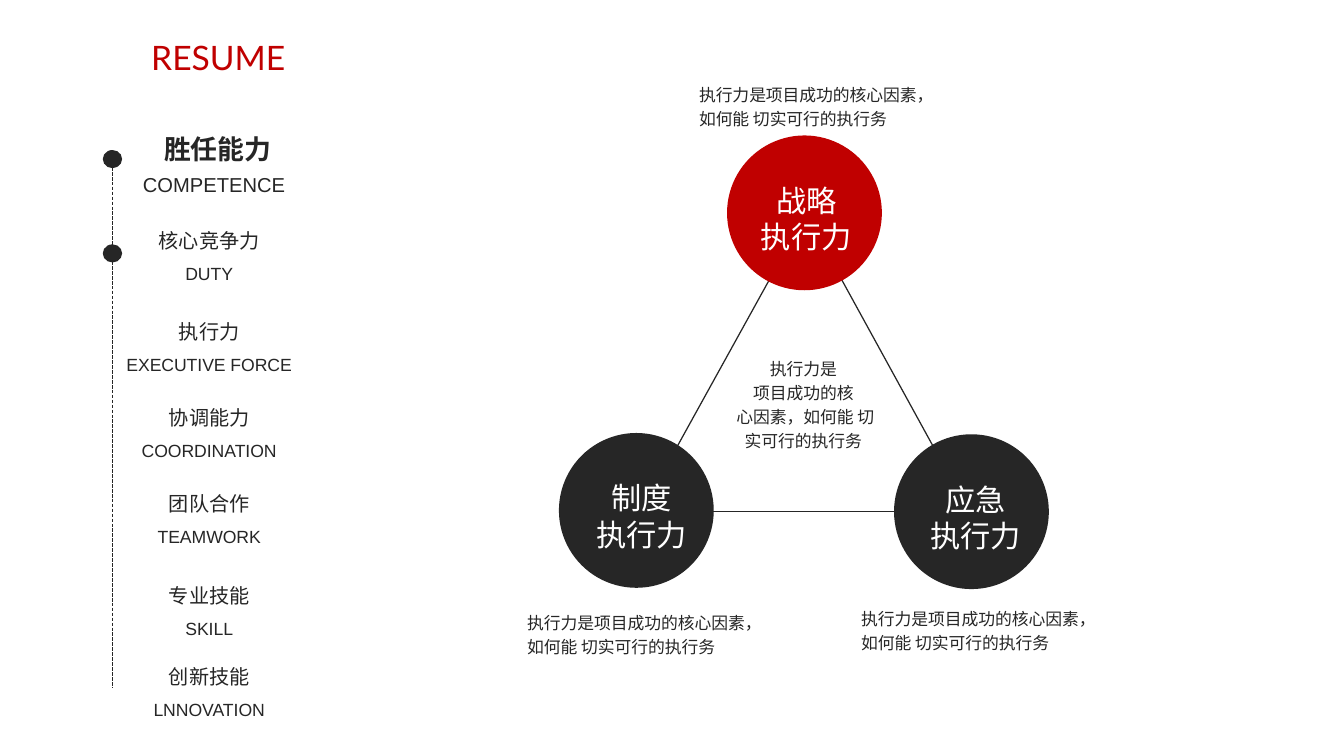
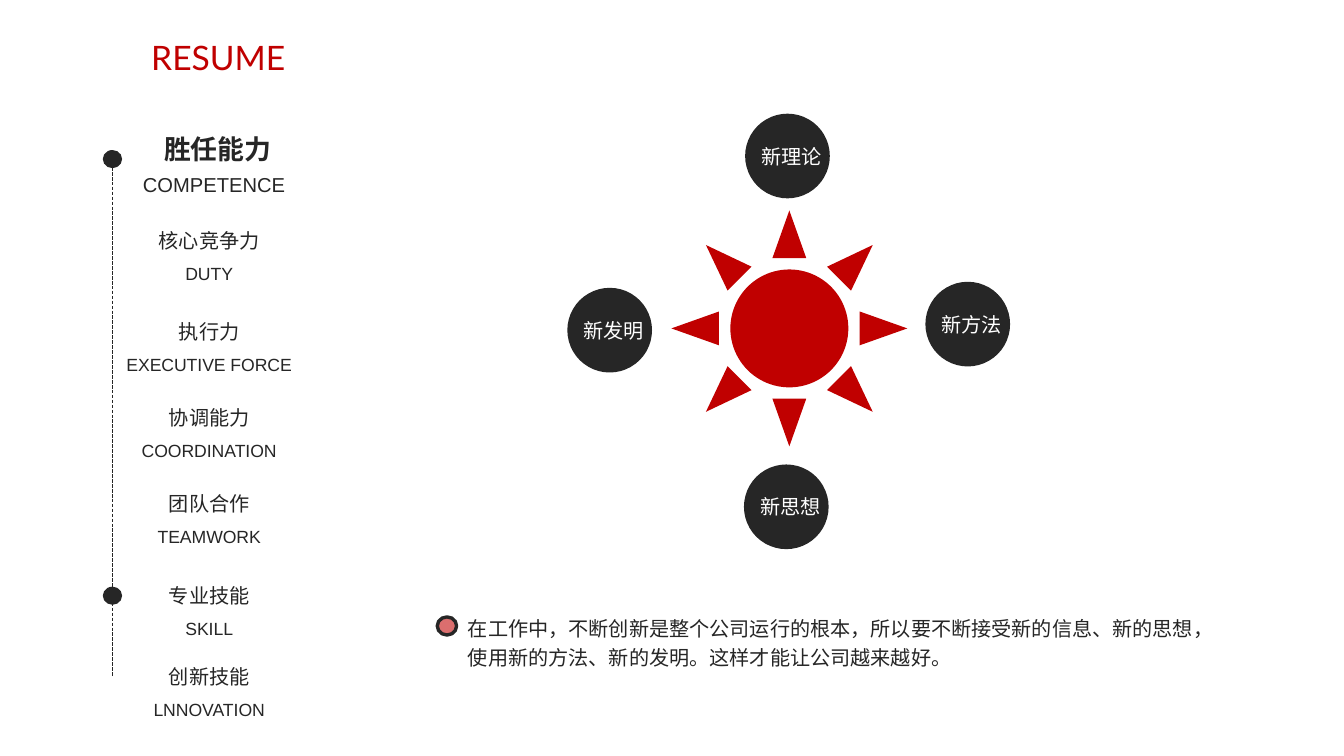
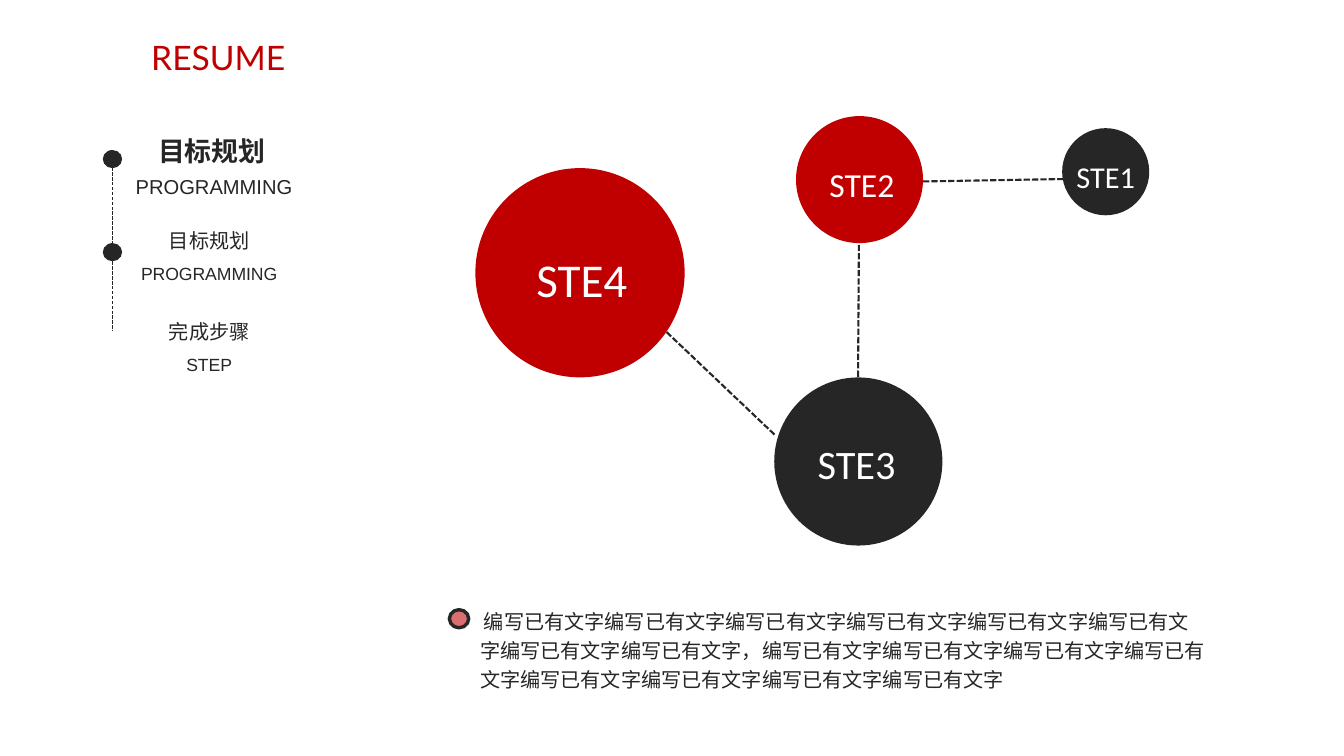
from lxml import etree
from pptx import Presentation
from pptx.dml.color import RGBColor
from pptx.enum.dml import MSO_LINE
from pptx.enum.lang import MSO_LANGUAGE_ID
from pptx.enum.shapes import MSO_CONNECTOR, MSO_SHAPE
from pptx.enum.text import MSO_ANCHOR, MSO_AUTO_SIZE, PP_ALIGN
from pptx.oxml.ns import qn
from pptx.util import Inches, Pt

OVAL, SUN = MSO_SHAPE.OVAL, MSO_SHAPE.SUN
LEFT, MID = PP_ALIGN.LEFT, PP_ALIGN.CENTER
DASH = MSO_LINE.SQUARE_DOT
CHINESE = MSO_LANGUAGE_ID.SIMPLIFIED_CHINESE
INK, RED, WHITE = "262626", "C00000", "FFFFFF"
ARIAL, LATO, CALIBRI, NOTO = "Arial", "Lato", "Calibri", "Noto Sans CJK SC"

COLS, ROWS = 111.1, 62.5
RAIL = 9.3          # column of the dashed line at the left
HEAD = 13.15        # row of the first dot
TOPS = (18, 25.5, 32.6, 39.7, 47.3, 54)

SKILLS = (
    ("核心竞争力", "DUTY"),
    ("执行力", "EXECUTIVE FORCE"),
    ("协调能力", "COORDINATION"),
    ("团队合作", "TEAMWORK"),
    ("专业技能", "SKILL"),
    ("创新技能", "LNNOVATION"),
)
STEPS = (("目标规划", "PROGRAMMING"), ("完成步骤", "STEP"))
FORCE = "执行力是项目成功的核心因素，如何能 切实可行的执行务"


def cells(count):
    """Turn grid cells, ten to the inch, into a length."""
    return Inches(count / 10)


def tint(code):
    return RGBColor.from_string(code)


class Deck:
    """Holds the style and the slide being drawn."""

    def __init__(self):
        self.file = Presentation()
        self.file.slide_width = cells(COLS)
        self.file.slide_height = cells(ROWS)
        self.slide = None

    def page(self):
        self.slide = self.file.slides.add_slide(self.file.slide_layouts[6])
        self.text(-4.3, 2.6, 44.7, 4.4, ["RESUME"], 20, LATO, RED)

    def text(self, x, y, w, h, lines, size, face=ARIAL, color=INK,
             align=MID, bold=False, gap=None, center=False):
        """Write lines; a line is a string or a list of (words, size) runs."""
        box = self.slide.shapes.add_textbox(*map(cells, (x, y, w, h)))
        frame = box.text_frame
        frame.word_wrap = True
        if center:
            frame.vertical_anchor = MSO_ANCHOR.MIDDLE
        else:
            frame.auto_size = MSO_AUTO_SIZE.SHAPE_TO_FIT_TEXT
        for i, line in enumerate(lines):
            para = frame.add_paragraph() if i else frame.paragraphs[0]
            para.alignment = align
            para.line_spacing = gap
            runs = [(line, size)] if isinstance(line, str) else line
            for words, points in runs:
                run = para.add_run()
                run.text = words
                font = run.font
                font.name, font.size, font.bold = face, Pt(points), bold
                font.color.rgb = tint(color)
                font.language_id = CHINESE
                east = etree.SubElement(run._r.rPr, qn("a:ea"))
                east.set("typeface", face)

    def shape(self, kind, x, y, w, h, fill):
        """Draw a plain shape around the centre x, y."""
        item = self.slide.shapes.add_shape(
            kind, *map(cells, (x - w / 2, y - h / 2, w, h)))
        item.shadow.inherit = False
        item.fill.solid()
        item.fill.fore_color.rgb = tint(fill)
        item.line.fill.background()
        return item

    def line(self, start, end, width=0.75, dash=None):
        item = self.slide.shapes.add_connector(
            MSO_CONNECTOR.STRAIGHT, *map(cells, (*start, *end)))
        item.line.color.rgb = tint(INK)
        item.line.width = Pt(width)
        item.line.dash_style = dash
        etree.SubElement(item._element.spPr, qn("a:effectLst"))

    def dot(self, x, y, fill=INK):
        return self.shape(OVAL, x, y, 1.6, 1.5, fill)

    def disc(self, x, y, size, fill, lines, points, face=ARIAL,
             dx=0, dy=0, high=3.8):
        """Draw a circle with a label set dx, dy off its centre."""
        self.shape(OVAL, x, y, size, size, fill)
        wide = size + 1
        self.text(x + dx - wide / 2, y + dy - high / 2, wide, high,
                  lines, points, face, WHITE, center=True)

    def rail(self, head, items, mark, end, left=12, top=10.4):
        """Draw the side menu, with a second dot at row mark."""
        self.line((RAIL, 13.8), (RAIL, end), dash=DASH)
        for y in (HEAD, mark):
            self.dot(RAIL, y)
        name, word = head
        self.text(left, top, 12, 3.8, [name], 16, bold=True, center=True)
        self.text(6.6, top + 1.7, 22.2, 6.3, [word], 12, center=True)
        for y, (name, word) in zip(TOPS, items):
            self.text(7.5, y, 19.6, 3.8, [name], 12, center=True)
            self.text(7.5, y + 3, 19.6, 3.3, [word], 10.5, center=True)

    def para(self, x, y, w, h, lines, size, align=LEFT):
        self.text(x, y, w, h, lines, size, NOTO, align=align, gap=1.2)

    def note(self, x, y, h, runs):
        """Write a paragraph beside a ringed dot."""
        ring = self.dot(x - 0.75, y + 1.65, RED)
        color = ring._element.spPr.find(".//" + qn("a:srgbClr"))
        etree.SubElement(color, qn("a:alpha")).set("val", "57000")
        ring.line.color.rgb = tint(INK)
        ring.line.width = Pt(2)
        self.para(x, y, 62.1, h, [runs], 12)


def force(deck):
    deck.page()
    ends = ((66.6, 17.7), (53, 42.3), (80.1, 42.3))
    for i, start in enumerate(ends):
        deck.line(start, ends[(i + 1) % len(ends)])
    deck.rail(("胜任能力", "COMPETENCE"), SKILLS, 20.95, 56.8)
    for x, y, fill, word, face, dx in (
            (66.5, 17.6, RED, "战略", NOTO, 0.15),
            (52.6, 42.2, INK, "制度", ARIAL, 0.45),
            (80.3, 42.3, INK, "应急", ARIAL, 0.35)):
        deck.disc(x, y, 12.8, fill, [word, "执行力"], 18, face,
                  dx, 0.45, 7.1)
    deck.para(59.5, 28.8, 13.8, 9.1,
              ["执行力是", "项目成功的核", " 心因素，如何能 切实可行的执行务"],
              10, MID)
    for x, y in ((56.8, 6.2), (42.6, 49.8), (70.2, 49.5)):
        deck.para(x, y, 20.9, 5, [FORCE], 10)


def ideas(deck):
    deck.page()
    deck.rail(("胜任能力", "COMPETENCE"), SKILLS, 49.25, 55.9)
    deck.shape(SUN, 65.25, 27.15, 19.5, 19.5, RED)
    for x, y, word in ((65.1, 12.9, "新理论"), (80, 26.8, "新方法"),
                       (65, 41.9, "新思想"), (50.4, 27.3, "新发明")):
        deck.disc(x, y, 7, INK, [word], 12, dx=0.35, high=3)
    deck.note(37.7, 50.1, 5.9, [(
        "在工作中，不断创新是整个公司运行的根本，所以要不断接受新的信息、"
        "新的思想，使用新的方法、新的发明。这样才能让公司越来越好。", 12)])


def plan(deck):
    deck.page()
    deck.rail(("目标规划", "PROGRAMMING"), STEPS, 20.85, 27.4, 11.5, 10.6)
    for start, end in (((76.3, 15), (88, 14.8)),
                       ((70.9, 36), (71, 20.1)),
                       ((54.1, 26.5), (64.1, 36))):
        deck.line(start, end, 1.25, DASH)
    for x, y, size, fill, word, points, dx, dy in (
            (91.4, 14.2, 7.2, INK, "STE1", 18, 0, 0.4),
            (71.05, 14.85, 10.5, RED, "STE2", 20, 0.2, 0.35),
            (70.95, 38.15, 13.9, INK, "STE3", 24, -0.15, 0.15),
            (47.95, 22.55, 17.3, RED, "STE4", 28, 0.15, 0.45)):
        deck.disc(x, y, size, fill, [word], points, CALIBRI, dx, dy)
    unit = "编写已有文字" * 8
    deck.note(38.7, 49.5, 8.3, [(" ", 10.5), (f"{unit}，{unit}", 12)])


def main():
    deck = Deck()
    for draw in (force, ideas, plan):
        draw(deck)
    deck.file.save("out.pptx")


if __name__ == "__main__":
    main()
